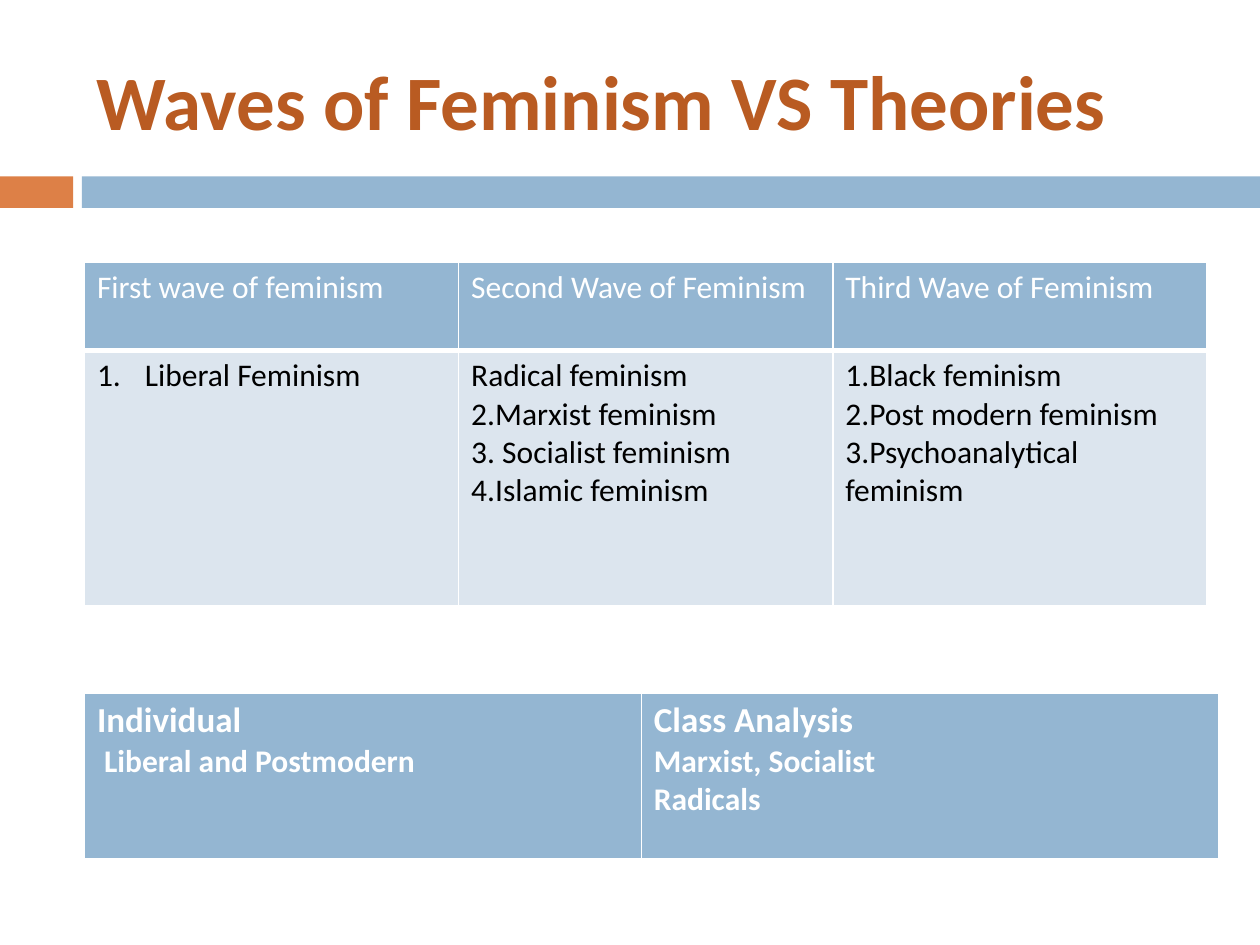
from pptx import Presentation
from pptx.dml.color import RGBColor
from pptx.enum.shapes import MSO_SHAPE as SHAPE
from pptx.enum.text import MSO_ANCHOR as ANCHOR
from pptx.oxml.ns import qn
from pptx.util import Inches, Pt
from lxml.etree import SubElement

ORANGE, BLUE, PALE = "DD8047", "94B6D2", "DCE5EE"
RUST, WHITE, BLACK = "B95B22", "FFFFFF", "000000"
LEFT = 0.67
TITLE = "Waves of Feminism VS Theories"
BARS = [(0, 0.58, ORANGE), (0.65, 9.35, BLUE)]
WAVES = [
    ("First wave of feminism", ["Liberal Feminism"]),
    ("Second Wave of Feminism", ["Radical feminism", "2.Marxist feminism",
                                 "3. Socialist feminism", "4.Islamic feminism"]),
    ("Third Wave of Feminism", ["1.Black feminism", "2.Post modern feminism",
                                "3.Psychoanalytical feminism"]),
]
ANALYSES = ["Individual \n\u00a0Liberal and Postmodern",
            "Class Analysis \nMarxist, Socialist \nRadicals"]


def rgb(color):
    return RGBColor.from_string(color)


def style(r, size, color, bold=False):
    r.font.name = "Calibri"
    r.font.size = Pt(size)
    r.font.bold = bold
    r.font.color.rgb = rgb(color)


def add_table(s, top, widths, heights):
    tbl = s.shapes.add_table(len(heights), len(widths), Inches(LEFT), Inches(top),
                             Inches(sum(widths)), Inches(sum(heights))).table
    for col, width in zip(tbl.columns, widths):
        col.width = Inches(width)
    for row, height in zip(tbl.rows, heights):
        row.height = Inches(height)
    return tbl


def fill_cell(cell, lines, color, fill, bold=False, first_size=18, bottom=1):
    tcPr = cell._tc.get_or_add_tcPr()
    for side, width in zip("LRTB", (1, 1, 1, bottom)):
        ln = SubElement(tcPr, qn(f"a:ln{side}"), w=str(Pt(width)))
        SubElement(SubElement(ln, qn("a:solidFill")), qn("a:srgbClr"), val=WHITE)
    cell.fill.solid()
    cell.fill.fore_color.rgb = rgb(fill)
    tf = cell.text_frame
    for i, line in enumerate(lines):
        p = tf.paragraphs[0] if i == 0 else tf.add_paragraph()
        p.text = line
        for j, r in enumerate(p.runs):
            style(r, first_size if j == 0 else 18, color, bold)


def number(p):
    pPr = p._p.get_or_add_pPr()
    pPr.set("marL", str(Inches(0.38)))
    pPr.set("indent", str(-Inches(0.38)))
    SubElement(pPr, qn("a:buFont"), typeface="+mj-lt")
    SubElement(pPr, qn("a:buAutoNum"), type="arabicPeriod")


prs = Presentation()
prs.slide_width, prs.slide_height = Inches(10), Inches(7.5)
s = prs.slides.add_slide(prs.slide_layouts[6])

for left, width, color in BARS:
    sp = s.shapes.add_shape(SHAPE.RECTANGLE, Inches(left), Inches(1.4),
                            Inches(width), Inches(0.25))
    sp.shadow.inherit = False
    sp.fill.solid()
    sp.fill.fore_color.rgb = rgb(color)
    sp.line.fill.background()

tf = s.shapes.add_textbox(Inches(LEFT), Inches(0.25), Inches(8.92), Inches(1.08)).text_frame
tf.word_wrap = True
tf.vertical_anchor = ANCHOR.MIDDLE
tf.text = TITLE
style(tf.paragraphs[0].runs[0], 44, RUST, True)

waves = add_table(s, 2.08, [2.97] * 3, [0.7, 2.03])
for c, (heading, theories) in enumerate(WAVES):
    fill_cell(waves.cell(0, c), [heading], WHITE, BLUE, bottom=3)
    fill_cell(waves.cell(1, c), theories, BLACK, PALE)
number(waves.cell(1, 0).text_frame.paragraphs[0])

analyses = add_table(s, 5.5, [4.42, 4.58], [1.33])
for c, text in enumerate(ANALYSES):
    fill_cell(analyses.cell(0, c), [text], WHITE, BLUE, True, 20, 3)

prs.save("out.pptx")
